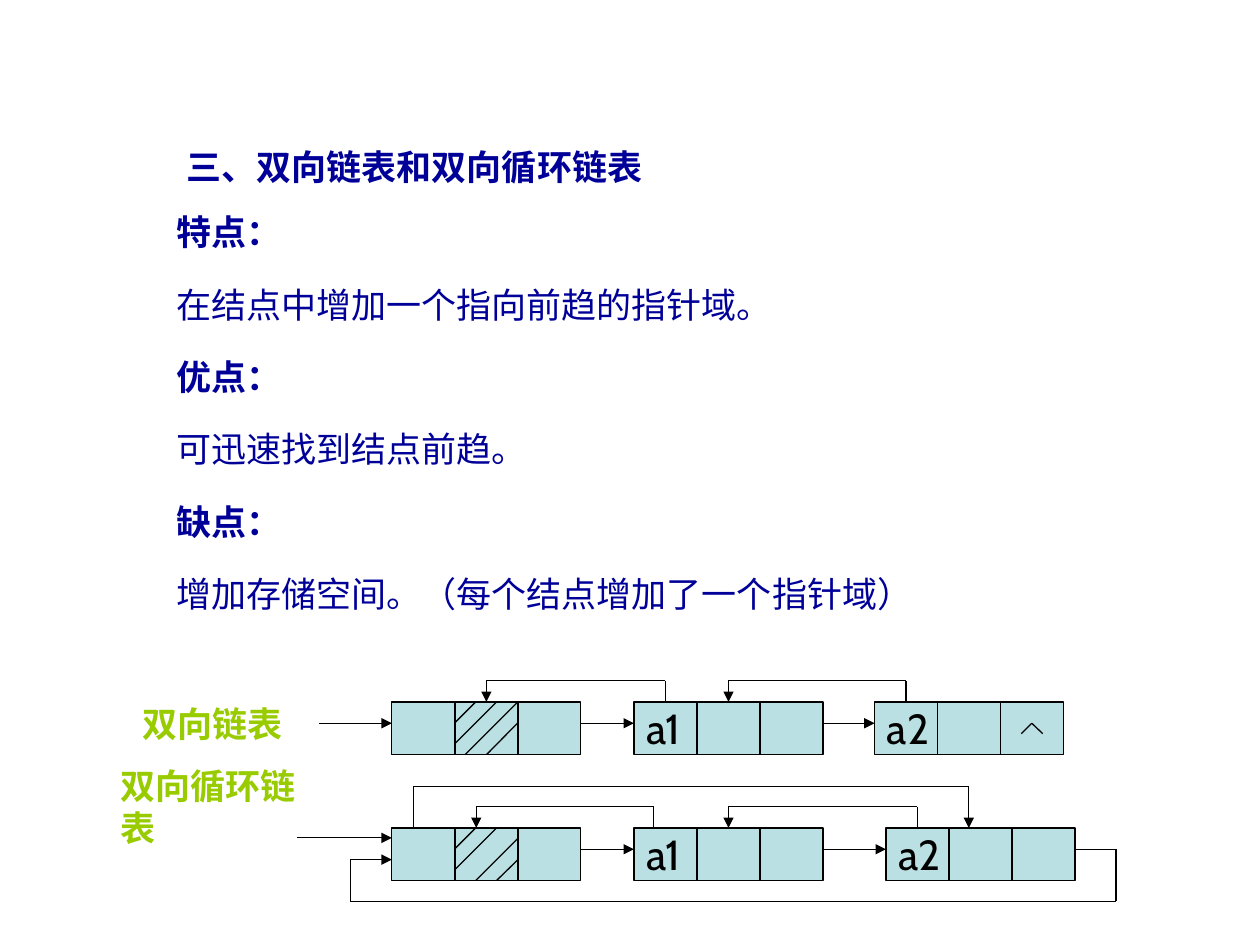
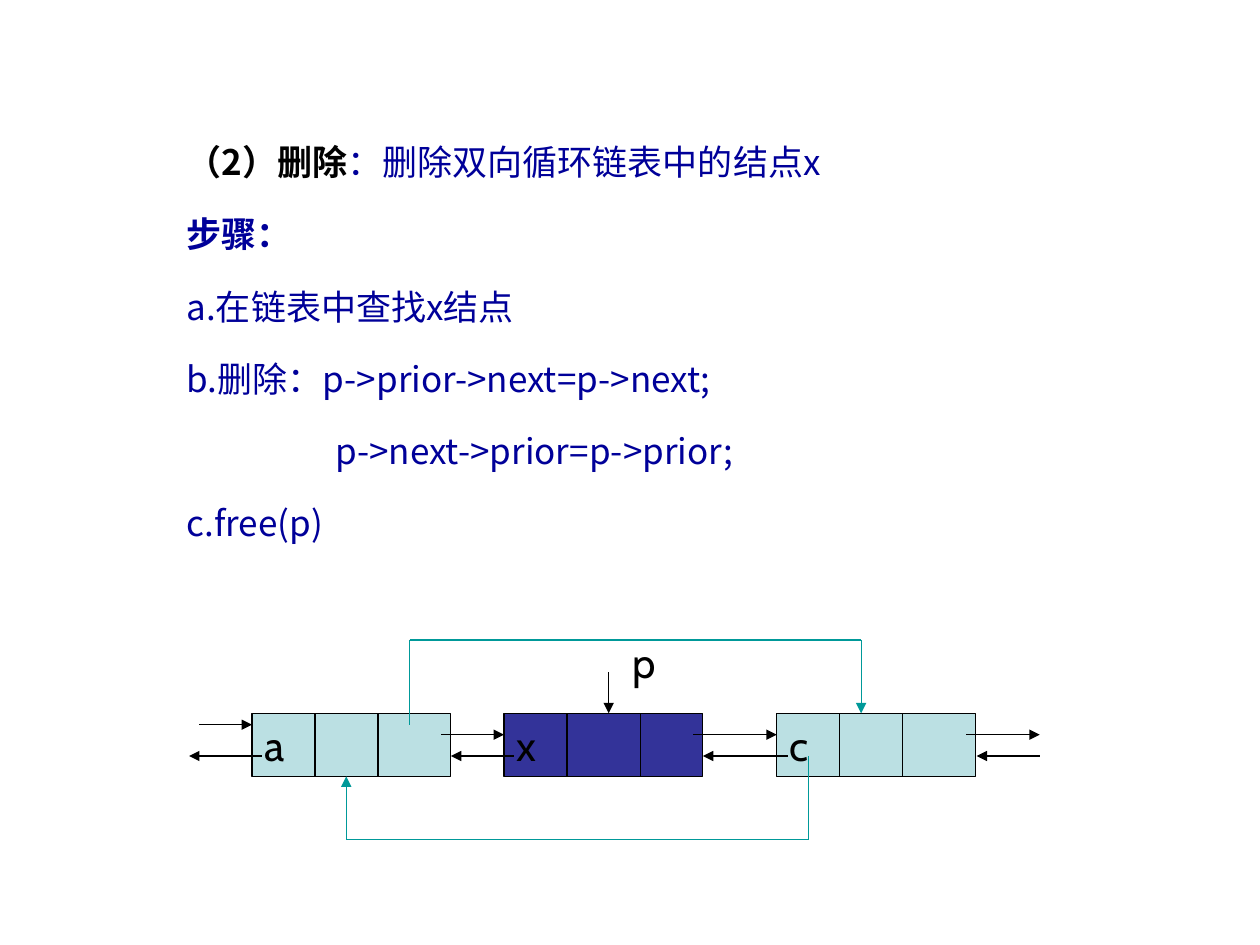
from dataclasses import dataclass
from typing import Optional

import lxml.etree
import pptx
import pptx.dml.color
import pptx.enum.shapes
import pptx.enum.text
import pptx.oxml.ns
import pptx.util

Cm = pptx.util.Cm
Pt = pptx.util.Pt
qn = pptx.oxml.ns.qn

HUES = {"navy": "000099", "black": "000000", "lime": "99CC00",
        "pale": "BBE0E3", "dark": "333399", "teal": "009999"}
HAN = "Noto Sans CJK SC"
LATIN = "Cabin"
CELL = 1.27  # width of one field of a node


@dataclass
class Span:
    text: str
    bold: bool = False
    hue: str = "navy"


@dataclass
class Line:
    spans: list[Span]
    indent: float = 0


@dataclass
class Node:
    left: float
    top: float
    width: float
    height: float
    text: str = ""
    fill: str = "pale"
    cuts: tuple[float, ...] = (CELL, 2 * CELL)


def color(hue: str) -> pptx.dml.color.RGBColor:
    return pptx.dml.color.RGBColor.from_string(HUES[hue])


def style(para, size: float, face: str, hue: str, bold: bool) -> None:
    font = para.font
    font.size, font.name, font.bold = Pt(size), face, bold
    font.color.rgb = color(hue)
    props = para._p.get_or_add_pPr().find(qn("a:defRPr"))
    lxml.etree.SubElement(props, qn("a:ea")).set("typeface", HAN)


def prose(slide, left: float, top: float, width: float, height: float,
          lines: list[Line]) -> None:
    """Spaced paragraphs of 20 pt text."""
    frame = slide.shapes.add_textbox(Cm(left), Cm(top), Cm(width), Cm(height)).text_frame
    frame.word_wrap = True
    for i, line in enumerate(lines):
        para = frame.paragraphs[0] if i == 0 else frame.add_paragraph()
        para.line_spacing = Pt(28.8)
        if i:
            para.space_before = Pt(12.5)
        if line.indent:
            para._p.get_or_add_pPr().set("marL", str(Cm(line.indent)))
        first = line.spans[0]
        style(para, 20, HAN, first.hue, first.bold)
        for span in line.spans:
            run = para.add_run()
            run.text = span.text
            if span is not first:
                run.font.bold = span.bold
                run.font.color.rgb = color(span.hue)


def write(shape, text: str, size: float, hue: str, bold: bool = False) -> None:
    """One unwrapped line, centred in height."""
    frame = shape.text_frame
    frame.word_wrap = False
    frame.vertical_anchor = pptx.enum.text.MSO_ANCHOR.MIDDLE
    para = frame.paragraphs[0]
    para.text = text
    para.alignment = pptx.enum.text.PP_ALIGN.LEFT
    style(para, size, LATIN, hue, bold)


def label(slide, left: float, top: float, width: float, text: str,
          size: float = 20, hue: str = "lime", bold: bool = True) -> None:
    box = slide.shapes.add_textbox(Cm(left), Cm(top), Cm(width), Cm(1.27))
    write(box, text, size, hue, bold)


def route(slide, *points: tuple[float, float], hue: str = "black",
          head: bool = True, goal: Optional[object] = None) -> None:
    """Straight pieces through the points; goal is joined at its top."""
    for start, end in zip(points, points[1:]):
        piece = slide.shapes.add_connector(
            pptx.enum.shapes.MSO_CONNECTOR.STRAIGHT, *map(Cm, start + end))
        piece.line.width = Pt(0.75)
        piece.line.color.rgb = color(hue)
        lxml.etree.SubElement(piece._element.spPr, qn("a:effectLst"))
    if head:
        tip = lxml.etree.SubElement(piece.line._get_or_add_ln(), qn("a:tailEnd"))
        tip.set("type", "triangle")
    if goal is not None:
        piece.end_connect(goal, 0)


def draw(slide, node: Node):
    """A box with upright lines between its fields."""
    box = slide.shapes.add_shape(
        pptx.enum.shapes.MSO_SHAPE.RECTANGLE,
        Cm(node.left), Cm(node.top), Cm(node.width), Cm(node.height))
    box.shadow.inherit = False
    box.fill.solid()
    box.fill.fore_color.rgb = color(node.fill)
    box.line.color.rgb = color("black")
    box.line.width = Pt(0.75)
    if node.text:
        write(box, node.text, 24, "black")
    for cut in node.cuts:
        x = node.left + cut
        route(slide, (x, node.top), (x, node.top + node.height), head=False)
    return box


def chain(slide, top: float, lefts: list[float], hatch: list[tuple]) -> list:
    """Head node with hatched field, then a1 and a2, with next arrows."""
    wide = 3 * CELL
    boxes = [draw(slide, Node(x, top, wide, 1.06, text))
             for x, text in zip(lefts, ("", "a1", "a2"))]
    for x, after in zip(lefts, lefts[1:]):
        route(slide, (x + wide, top + 0.43), (after, top + 0.43))
    edge = lefts[0] + CELL
    for x1, y1, x2, y2 in hatch:
        route(slide, (edge + x1, top + y1), (edge + x2, top + y2), head=False)
    return boxes


def over(slide, start: float, end: float, top: float, rise: float,
         goal: Optional[object] = None) -> None:
    """Back link that runs above a row."""
    route(slide, (start, top), (start, top - rise), (end, top - rise), (end, top),
          goal=goal)


def lists(slide) -> None:
    # Title and text
    prose(slide, 3.51, 2.64, 14.05, 1.35,
          [Line([Span("三、双向链表和双向循环链表", True)])])
    pairs = [("特点：", "在结点中增加一个指向前趋的指针域。"),
             ("优点：", "可迅速找到结点前趋。"),
             ("缺点：", "增加存储空间。（每个结点增加了一个指针域）")]
    prose(slide, 3.3, 3.96, 19.66, 9.07,
          [Line([Span(text, bold)]) for pair in pairs
           for text, bold in zip(pair, (True, False))])

    # Doubly linked list
    half, mid = CELL / 2, 1.5 * CELL
    lean = [(0.42, 0, 0, 0.42), (0.84, 0, 0, 0.84)]
    label(slide, 2.62, 13.94, 3.81, "双向链表")
    top, lefts = 14.15, [7.9, 12.78, 17.63]
    boxes = chain(slide, top, lefts,
                  lean + [(CELL, 0, 0.21, 1.06), (CELL, 0.42, 0.64, 1.06)])
    route(slide, (6.43, 14.58), (7.9, 14.58))
    for i in (2, 1):
        over(slide, lefts[i] + half, lefts[i - 1] + mid, top, 0.43, boxes[i - 1])
    route(slide, (20.59, 14.79), (20.8, 14.58), (21.02, 14.79), head=False)

    # Doubly linked ring
    label(slide, 2.18, 15.62, 4.45, "双向循环链表")
    top, lefts = 16.69, [7.9, 12.78, 17.86]
    boxes = chain(slide, top, lefts,
                  lean + [(CELL, 0.21, 0.42, 1.06), (CELL, 0.64, 0.84, 1.06)])
    route(slide, (5.99, 16.89), (7.9, 16.89))
    route(slide, (21.67, 17.12), (22.5, 17.12), (22.5, 18.17), (7.06, 18.17),
          (7.06, 17.33), (7.9, 17.33))
    over(slide, lefts[2] + half, lefts[1] + mid, top, 0.43, boxes[1])
    over(slide, 13.18, 9.6, top, 0.43)
    over(slide, 8.33, 19.53, top, 0.84)


def remove(slide) -> None:
    # Steps
    prose(slide, 3.51, 2.54, 20.47, 9.07, [
        Line([Span("（2）删除", True, "black"), Span("：删除双向循环链表中的结点x")]),
        Line([Span("步骤：", True)]),
        Line([Span("a.在链表中查找x结点")]),
        Line([Span("b.删除：p->prior->next=p->next;")]),
        Line([Span("p->next->prior=p->prior;")], 3),
        Line([Span("c.free(p)")])])

    # Nodes
    top, wide, tall = 14.38, 4.01, 1.27
    draw(slide, Node(5.08, top, wide, tall, "a"))
    draw(slide, Node(10.16, top, wide, tall, "x", "dark", (CELL, 2.75)))
    draw(slide, Node(15.66, top, wide, tall, "c"))
    label(slide, 12.5, 12.7, 1.07, "p", 24, "black", False)
    route(slide, (12.27, 13.55), (12.27, top))

    # Next and prior arrows
    route(slide, (4.02, 14.61), (5.08, 14.61))
    for start, end in ((8.89, 10.16), (13.97, 15.66), (19.48, 20.96)):
        route(slide, (start, 14.81), (end, 14.81))
    for start, end in ((5.28, 3.81), (10.36, 9.09), (15.88, 14.17), (20.96, 19.69)):
        route(slide, (start, 15.24), (end, 15.24))

    # New links around x
    route(slide, (8.26, 14.61), (8.26, 12.9), (17.36, 12.9), (17.36, top), hue="teal")
    route(slide, (16.3, 15.24), (16.3, 16.92), (6.98, 16.92), (6.98, top + tall),
          hue="teal")


def main() -> None:
    deck = pptx.Presentation()
    deck.slide_width, deck.slide_height = Cm(25.4), Cm(19.05)
    for fill in (lists, remove):
        fill(deck.slides.add_slide(deck.slide_layouts[6]))
    deck.save("out.pptx")


if __name__ == "__main__":
    main()
